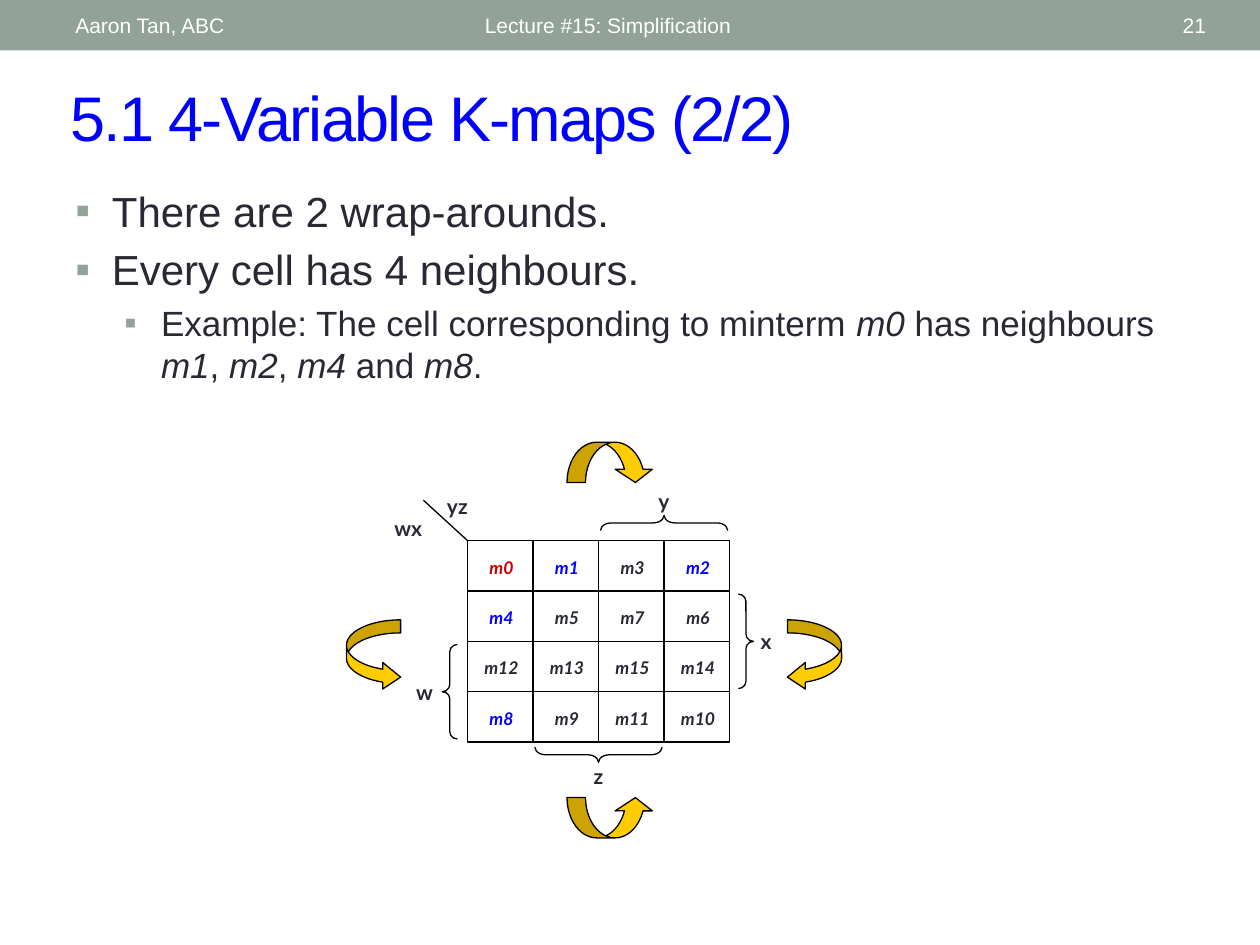
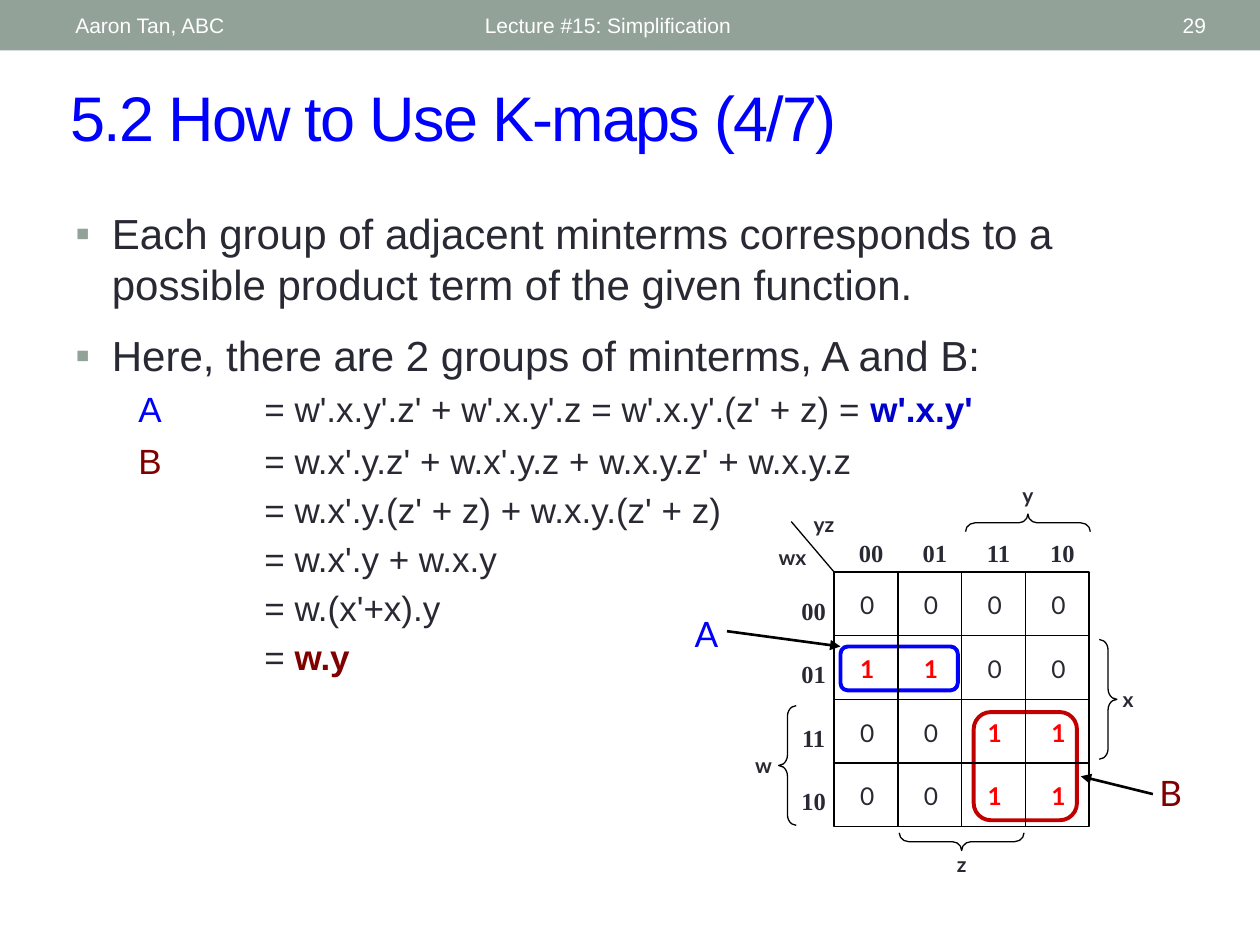
from dataclasses import dataclass

from lxml.etree import SubElement
from pptx import Presentation
from pptx.dml.color import RGBColor
from pptx.enum.shapes import MSO_CONNECTOR as Link, MSO_SHAPE as Shape
from pptx.enum.text import MSO_ANCHOR as Anchor, PP_ALIGN as Align
from pptx.oxml.ns import qn
from pptx.util import Inches, Pt


@dataclass(frozen=True)
class Theme:
    sage: str = "93A299"
    ink: str = "292934"
    white: str = "FFFFFF"
    black: str = "000000"
    blue: str = "0000FF"
    navy: str = "0000CC"
    maroon: str = "800000"
    red: str = "CC0000"
    one: str = "FF0000"
    ring: str = "C00000"
    gold: str = "FFCC00"
    sans: str = "Arial"
    map_font: str = "Lato"
    code_font: str = "Times New Roman"
    title: int = 36
    body: int = 24
    detail: int = 20
    code: int = 14
    small: int = 12
    minterm: int = 10


T = Theme()
WIDTH, HEIGHT = 10, 7.5

# ---- Content: runs are (text, style); a paragraph adds its level and space before in % ----
ITALIC = {"italic": True}
AUTHOR, LECTURE = "Aaron Tan, ABC", "Lecture #15: Simplification"

LEVELS = {  # left margin, first-line indent, size, bullet
    "point": (0.29, -0.29, T.body, True),
    "example": (0.68, -0.29, T.detail, True),
    "named": (1.5, -1.0, T.detail, False),
    "step": (1.5, 0, T.detail, False),
}

NEIGHBOUR_TEXT = [
    ("point", 20, [("There are 2 wrap-arounds.", {})]),
    ("point", 20, [("Every cell has 4 neighbours.", {})]),
    ("example", 20, [
        ("Example: The cell corresponding to minterm ", {}), ("m0", ITALIC),
        (" has neighbours ", {}), ("m1", ITALIC), (", ", {}), ("m2", ITALIC),
        (", ", {}), ("m4", ITALIC), (" and ", {}), ("m8", ITALIC), (".", {})]),
]

GROUP_TEXT = [
    ("point", 20, [("Each group of adjacent minterms corresponds to a possible "
                    "product term of the given function.", {})]),
    ("point", 50, [("Here, there are 2 groups of minterms, A and B:", {})]),
    ("named", 20, [("A", {"color": T.blue}),
                   ("\t= w'.x.y'.z' + w'.x.y'.z = w'.x.y'.(z' + z) = ", {}),
                   ("w'.x.y'", {"color": T.navy, "bold": True})]),
    ("named", 30, [("B", {"color": T.maroon}),
                   ("\t= w.x'.y.z' + w.x'.y.z + w.x.y.z' + w.x.y.z", {})]),
    ("step", 20, [("= w.x'.y.(z' + z) + w.x.y.(z' + z)", {})]),
    ("step", 20, [("= w.x'.y + w.x.y", {})]),
    ("step", 20, [("= w.(x'+x).y", {})]),
    ("step", 20, [("= ", {}), ("w.y", {"color": T.maroon, "bold": True})]),
]

# Braces: variable, side, centre along that side in cells, gap to map, gap to label
MINTERM_MAP = {
    "origin": (3.71, 4.29), "cell": (0.52, 0.4),
    "rows": ["m0 m1 m3 m2", "m4 m5 m7 m6", "m12 m13 m15 m14", "m8 m9 m11 m10"],
    "style": {"size": T.minterm, "bold": True, "italic": True},
    "marks": {"m0": {"color": T.red},
              **{name: {"color": T.blue} for name in ("m1", "m2", "m4", "m8")}},
    "brace": (0.12, 0.75, 1.01, 0.48, 0.72),
    "braces": [("w", "left", 3, 0.08, 0.2), ("x", "right", 2, 0.07, 0.16),
               ("y", "top", 3, 0.08, 0.17), ("z", "bottom", 2, 0.04, 0.17)],
    "corner": (-0.35, -0.32), "wx": (-0.47, -0.1), "yz": (-0.08, -0.27),
    "codes": [], "rings": [],
}

VALUE_MAP = {
    "origin": (6.62, 4.54), "cell": (0.506, 0.505),
    "rows": ["0 0 0 0", "1 1 0 0", "0 0 1 1", "0 0 1 1"],
    "style": {"size": T.code},
    "marks": {"1": {"color": T.one, "bold": True}},
    "brace": (0.14, 0.95, 0.99, 0.6, 0.53),
    "braces": [("w", "left", 3.04, 0.3, 0.19), ("x", "right", 2, 0.08, 0.16),
               ("y", "top", 3.04, 0.32, 0.22), ("z", "bottom", 2, 0.05, 0.18)],
    "corner": (-0.34, -0.4), "wx": (-0.33, -0.12), "yz": (-0.08, -0.38),
    "codes": ["00", "01", "11", "10"],
    # Rings, labels and arrows in cells: name, outline, ink, ring box, label, arrow
    "rings": [
        ("A", T.blue, T.blue, (0.1, 1.17, 1.84, 0.69), (-2, 0.97),
         (-1.68, 0.93, 0.1, 1.17)),
        ("B", T.ring, T.maroon, (2.19, 2.2, 1.62, 1.7), (5.28, 3.46),
         (5, 3.49, 3.87, 3.21)),
    ],
}

SIDE_ARROW = (Shape.CURVED_RIGHT_ARROW, 0.43, 0.56, (0.24, 0.49, 0.33))
END_ARROW = (Shape.CURVED_UP_ARROW, 0.69, 0.32, (0.46, 0.92, 0.33))
WRAP_ARROWS = [(SIDE_ARROW, 2.75, 4.92, None), (SIDE_ARROW, 6.25, 4.92, "flipH"),
               (END_ARROW, 4.5, 6.33, None), (END_ARROW, 4.5, 3.51, "flipV")]

PAGES = [
    ("5.1 4-Variable K-maps (2/2)", "21", 1.42, NEIGHBOUR_TEXT, MINTERM_MAP, WRAP_ARROWS),
    ("5.2 How to Use K-maps (4/7)", "29", 1.6, GROUP_TEXT, VALUE_MAP, []),
]


# ---- Drawing helpers ----
def rgb(color):
    return RGBColor.from_string(color)


def add_span(para, text, size, font=T.sans, color=T.ink, bold=False, italic=False):
    span = para.add_run()
    span.text = text
    face = span.font
    face.name, face.size, face.bold, face.italic = font, Pt(size), bold, italic
    face.color.rgb = rgb(color)
    return span


def add_box(page, left, top, width, height, anchor=Anchor.MIDDLE):
    box = page.shapes.add_textbox(*map(Inches, (left, top, width, height)))
    frame = box.text_frame
    frame.word_wrap, frame.vertical_anchor = True, anchor
    return frame


def add_label(page, x, y, text, size=T.small, font=T.map_font, width=0.5, **style):
    """Centre a short text on a point."""
    height = 0.5 if size == T.detail else 0.32
    frame = add_box(page, x - width / 2, y - height / 2, width, height)
    frame.margin_left = frame.margin_right = frame.margin_top = frame.margin_bottom = 0
    para = frame.paragraphs[0]
    para.alignment = Align.CENTER
    add_span(para, text, size, font, **style)


def add_form(page, kind, left, top, width, height, fill=None, line=T.black, weight=0.75):
    form = page.shapes.add_shape(kind, *map(Inches, (left, top, width, height)))
    form.shadow.inherit = False
    if fill:
        form.fill.solid()
        form.fill.fore_color.rgb = rgb(fill)
    else:
        form.fill.background()
    if line:
        form.line.color.rgb = rgb(line)
        form.line.width = Pt(weight)
    else:
        form.line.fill.background()
    return form


def adjust(form, values):
    for index, value in enumerate(values):
        form.adjustments[index] = value


def add_line(page, x1, y1, x2, y2, weight=0.75, arrow=False):
    link = page.shapes.add_connector(Link.STRAIGHT, *map(Inches, (x1, y1, x2, y2)))
    link.line.color.rgb = rgb(T.black)
    link.line.width = Pt(weight)
    if arrow:
        SubElement(link.line._get_or_add_ln(), qn("a:tailEnd"), type="triangle")
    SubElement(link.element.spPr, qn("a:effectLst"))


def format_para(para, left, indent, before, bullet):
    props = para._p.get_or_add_pPr()
    props.set("marL", str(Inches(left)))
    props.set("indent", str(Inches(indent)))
    space = SubElement(props, qn("a:spcBef"))
    SubElement(space, qn("a:spcPct"), val=str(before * 1000))
    if bullet:
        color = SubElement(props, qn("a:buClr"))
        SubElement(color, qn("a:srgbClr"), val=T.sage)
        SubElement(props, qn("a:buFont"), typeface=T.sans)
        SubElement(props, qn("a:buChar"), char="▪")
    else:
        SubElement(props, qn("a:buNone"))


# ---- Slide parts ----
def add_header(page, title, number):
    add_form(page, Shape.RECTANGLE, 0, 0, WIDTH, 0.4, T.sage, None)
    for text, left, width, align in ((LECTURE, 3.75, 4.5, Align.LEFT),
                                     (number, 8.72, 0.95, Align.RIGHT),
                                     (AUTHOR, 0.5, 3.17, Align.LEFT)):
        para = add_box(page, left, 0.02, width, 0.36).paragraphs[0]
        para.alignment = align
        add_span(para, text, T.small, color=T.white)
    para = add_box(page, 0.46, 0.57, 9.07, 0.7).paragraphs[0]
    span = add_span(para, title, T.title, color=T.blue)
    span._r.get_or_add_rPr().set("spc", "-100")


def add_body(page, top, content):
    frame = add_box(page, 0.5, top, 9, 4.31 if len(content) > 3 else 1.96, Anchor.TOP)
    for index, (level, before, spans) in enumerate(content):
        para = frame.add_paragraph() if index else frame.paragraphs[0]
        left, indent, size, bullet = LEVELS[level]
        format_para(para, left, indent, before, bullet)
        for text, style in spans:
            add_span(para, text, size, **style)


def add_braces(page, kmap, at):
    depth, tall, wide, bend_tall, bend_wide = kmap["brace"]
    turns = {"left": 0, "top": 90, "right": 180, "bottom": 270}
    for name, side, middle, gap, reach in kmap["braces"]:
        upright = side in ("left", "right")
        sign = -1 if side in ("left", "top") else 1
        edge = 0 if sign < 0 else 4
        x, y = at(edge, middle) if upright else at(middle, edge)
        step = sign * (gap + depth / 2)
        cx, cy = (x + step, y) if upright else (x, y + step)
        length = tall if upright else wide
        brace = add_form(page, Shape.LEFT_BRACE, cx - depth / 2, cy - length / 2,
                         depth, length)
        brace.rotation = turns[side]
        adjust(brace, (bend_tall if upright else bend_wide, 0.5))
        lx, ly = (cx + sign * reach, cy) if upright else (cx, cy + sign * reach)
        add_label(page, lx, ly, name, width=0.38, bold=True)


def add_map(page, kmap):
    (left, top), (cell_w, cell_h) = kmap["origin"], kmap["cell"]

    def at(column, row):
        return left + column * cell_w, top + row * cell_h

    # Rings with their callouts
    for name, outline, ink, (column, row, columns, rows), spot, arrow in kmap["rings"]:
        add_form(page, Shape.FLOWCHART_ALTERNATE_PROCESS, *at(column, row),
                 columns * cell_w, rows * cell_h, line=outline, weight=2.25)
        add_label(page, *at(*spot), name, T.detail, color=ink)
        add_line(page, *at(*arrow[:2]), *at(*arrow[2:]), weight=1.5, arrow=True)

    # Grid
    add_form(page, Shape.RECTANGLE, left, top, 4 * cell_w, 4 * cell_h)
    for k in range(1, 4):
        add_line(page, *at(0, k), *at(4, k))
        add_line(page, *at(k, 0), *at(k, 4))

    # Cell values
    for row, names in enumerate(kmap["rows"]):
        for column, name in enumerate(names.split()):
            x, y = at(column + 0.5, row + 0.5)
            add_label(page, x + 0.01, y + 0.01, name,
                      **{**kmap["style"], **kmap["marks"].get(name, {})})

    # Row and column codes
    for k, code in enumerate(kmap["codes"]):
        for x, y in (at(k + 0.58, -0.3), at(-0.32, k + 0.6)):
            add_label(page, x, y, code, T.code, T.code_font, bold=True)

    # Corner and variable names
    dx, dy = kmap["corner"]
    add_line(page, left, top, left + dx, top + dy)
    for name in ("wx", "yz"):
        dx, dy = kmap[name]
        add_label(page, left + dx, top + dy, name, bold=True)
    add_braces(page, kmap, at)


def add_wrap_arrow(page, arrow, left, top, flip):
    kind, width, height, bends = arrow
    form = add_form(page, kind, left, top, width, height, T.gold)
    adjust(form, bends)
    if flip:
        form.element.spPr.find(qn("a:xfrm")).set(flip, "1")


def main():
    deck = Presentation()
    deck.slide_width, deck.slide_height = Inches(WIDTH), Inches(HEIGHT)
    for title, number, body_top, content, kmap, arrows in PAGES:
        page = deck.slides.add_slide(deck.slide_layouts[6])
        add_header(page, title, number)
        add_body(page, body_top, content)
        add_map(page, kmap)
        for arrow in arrows:
            add_wrap_arrow(page, *arrow)
    deck.save("out.pptx")


if __name__ == "__main__":
    main()
